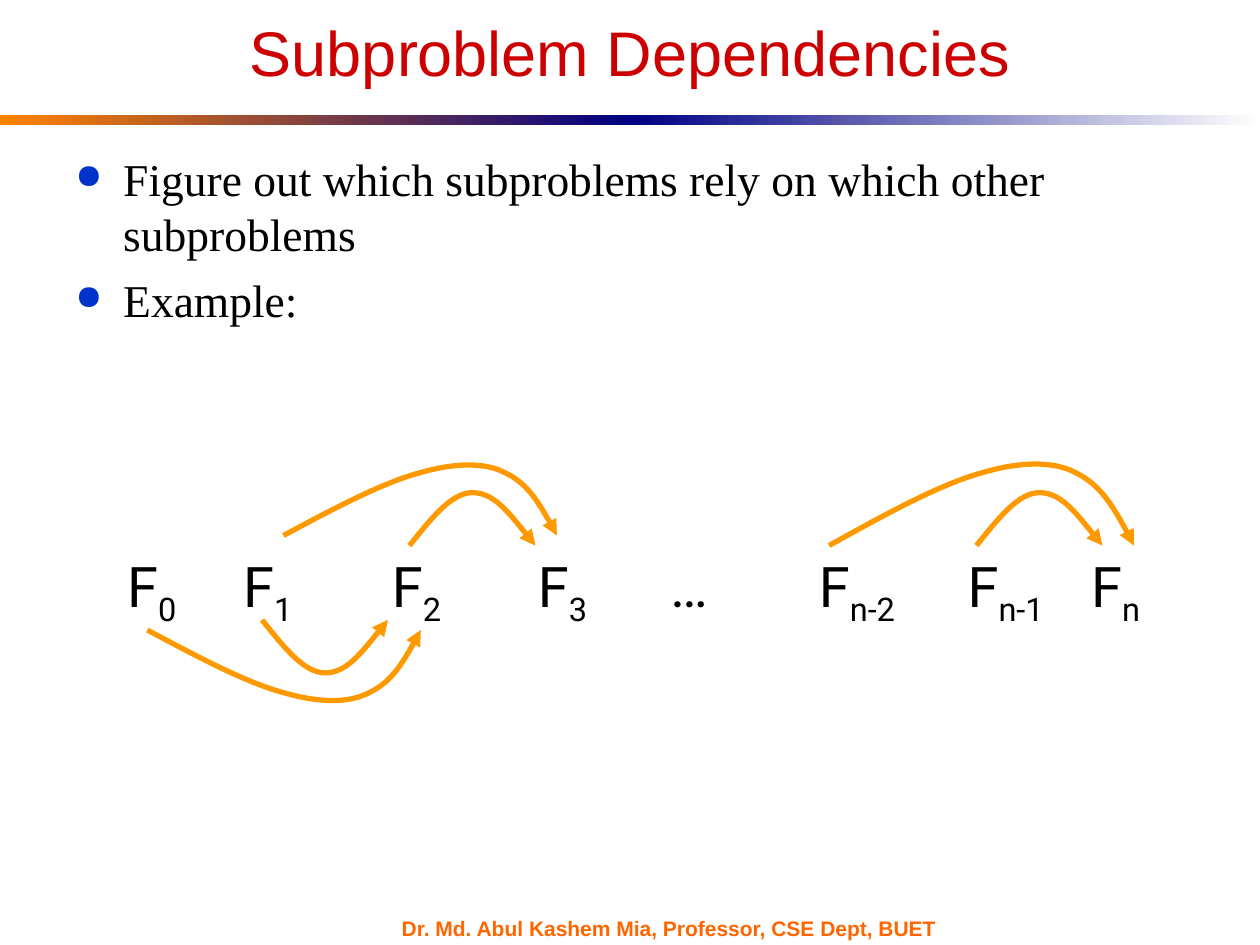
import pptx
import pptx.dml.color
import pptx.enum.shapes
import pptx.enum.text
import pptx.oxml
import pptx.oxml.ns
import pptx.util
import lxml.etree

Inches = pptx.util.Inches
Pt = pptx.util.Pt
qn = pptx.oxml.ns.qn
RGBColor = pptx.dml.color.RGBColor
ANCHOR = pptx.enum.text.MSO_ANCHOR
ALIGN = pptx.enum.text.PP_ALIGN

COLORS = {"title": "CC0000", "text": "000000", "bullet": "0033CC",
          "footer": "FF6600", "arrow": "FF9900",
          "orange": "FF8200", "navy": "000082", "white": "FFFFFF"}

presentation = pptx.Presentation()
presentation.slide_width = Inches(10)
presentation.slide_height = Inches(7.5)
slide = presentation.slides.add_slide(presentation.slide_layouts[6])


def add_text(text, left, top, width, height, *, size, font, color, bold=False,
             align=ALIGN.LEFT, anchor=ANCHOR.TOP, inset=0.1, subscript="", bullets=False):
    """Add a text box; each line of the text becomes a paragraph."""
    box = slide.shapes.add_textbox(Inches(left), Inches(top), Inches(width), Inches(height))
    frame = box.text_frame
    frame.word_wrap = True
    frame.vertical_anchor = anchor
    frame.margin_left = frame.margin_right = Inches(inset)
    frame.margin_top = frame.margin_bottom = Inches(inset / 2)
    frame.text = text
    for paragraph in frame.paragraphs:
        paragraph.alignment = align
        if subscript:
            run = paragraph.add_run()
            run.text = subscript
            run.font._element.set("baseline", "-25000")
        for run in paragraph.runs:
            run.font.size = Pt(size)
            run.font.name = font
            run.font.bold = bold
            run.font.color.rgb = RGBColor.from_string(COLORS[color])
        if bullets:
            paragraph.space_before = Pt(6.5)
            properties = paragraph._p.get_or_add_pPr()
            properties.set("marL", str(Inches(0.38)))
            properties.set("indent", str(-Inches(0.38)))
            bullet_color = lxml.etree.SubElement(properties, qn("a:buClr"))
            lxml.etree.SubElement(bullet_color, qn("a:srgbClr"), val=COLORS["bullet"])
            lxml.etree.SubElement(properties, qn("a:buSzPct"), val="75000")
            lxml.etree.SubElement(properties, qn("a:buChar"), char="●")


def add_curved_arrow(profile, left, base, width, rise):
    """Draw a Bezier arrow from a unit profile; a negative rise dips below the base."""
    points = [(Inches(left + x * width), Inches(base - y * rise)) for x, y in profile]
    builder = slide.shapes.build_freeform(*points[0])
    builder.add_line_segments(points[1:], close=False)
    arrow = builder.convert_to_shape()
    arrow.shadow.inherit = False
    arrow.fill.background()
    arrow.line.color.rgb = RGBColor.from_string(COLORS["arrow"])
    arrow.line.width = Pt(3)
    # Every three line points become one cubic segment
    segments = list(arrow._element.iter(qn("a:lnTo")))
    for index in range(0, len(segments), 3):
        curve = lxml.etree.Element(qn("a:cubicBezTo"))
        segments[index].addprevious(curve)
        for segment in segments[index:index + 3]:
            curve.append(segment[0])
            segment.getparent().remove(segment)
    lxml.etree.SubElement(arrow.line._get_or_add_ln(), qn("a:tailEnd"), type="triangle")


# Gradient rule under the title
for left, start, end in [(0, "orange", "navy"), (5, "navy", "white")]:
    bar = slide.shapes.add_shape(pptx.enum.shapes.MSO_SHAPE.RECTANGLE,
                                 Inches(left), Inches(0.91), Inches(5), Inches(0.08))
    bar.shadow.inherit = False
    bar.line.fill.background()
    bar.fill.gradient()
    bar.fill.gradient_angle = 0
    for stop, name in zip(bar.fill.gradient_stops, (start, end)):
        stop.color.rgb = RGBColor.from_string(COLORS[name])

# Footer, title and bullets
add_text("Dr. Md. Abul Kashem Mia, Professor, CSE Dept, BUET", 3.09, 7.22, 4.67, 0.3,
         size=12, font="Arial", color="footer", bold=True, anchor=ANCHOR.MIDDLE)
add_text("Subproblem Dependencies", 0.5, 0.25, 9, 0.51, size=36, font="Arial",
         color="title", align=ALIGN.CENTER, anchor=ANCHOR.BOTTOM)
add_text("Figure out which subproblems rely on which other subproblems\nExample:",
         0.5, 1.15, 9, 4.75, size=26, font="Times New Roman", color="text", bullets=True)

# Sequence terms
terms = [("F", "0", 1.01), ("F", "1", 1.93), ("F", "2", 3.11), ("F", "3", 4.27),
         ("…", "", 5.32), ("F", "n-2", 6.5), ("F", "n-1", 7.68), ("F", "n", 8.66)]
for letter, subscript, left in terms:
    add_text(letter, left, 4.38, 0.8, 0.61, size=32, font="Roboto", color="text",
             inset=0, subscript=subscript)

# Dependency arrows: short ones from the previous term, long ones from two back
SHORT = [(0, 0), (0.17, 0.5), (0.33, 1), (0.5, 1), (0.67, 1), (0.83, 0.5), (1, 0)]
LONG = [(0, 0), (0.18, 0.36), (0.36, 0.72), (0.5, 0.86), (0.63, 1), (0.74, 1),
        (0.81, 0.86), (0.89, 0.72), (0.95, 0.36), (1, 0)]
for left, base, rise in [(2.08, 4.92, -0.42), (3.25, 4.33, 0.42), (7.75, 4.33, 0.42)]:
    add_curved_arrow(SHORT, left, base, 1, rise)
for left, base, width, rise in [(1.17, 5, 2.17, -0.58), (2.25, 4.25, 2.17, 0.58),
                                (6.58, 4.33, 2.42, 0.67)]:
    add_curved_arrow(LONG, left, base, width, rise)

presentation.save("out.pptx")
